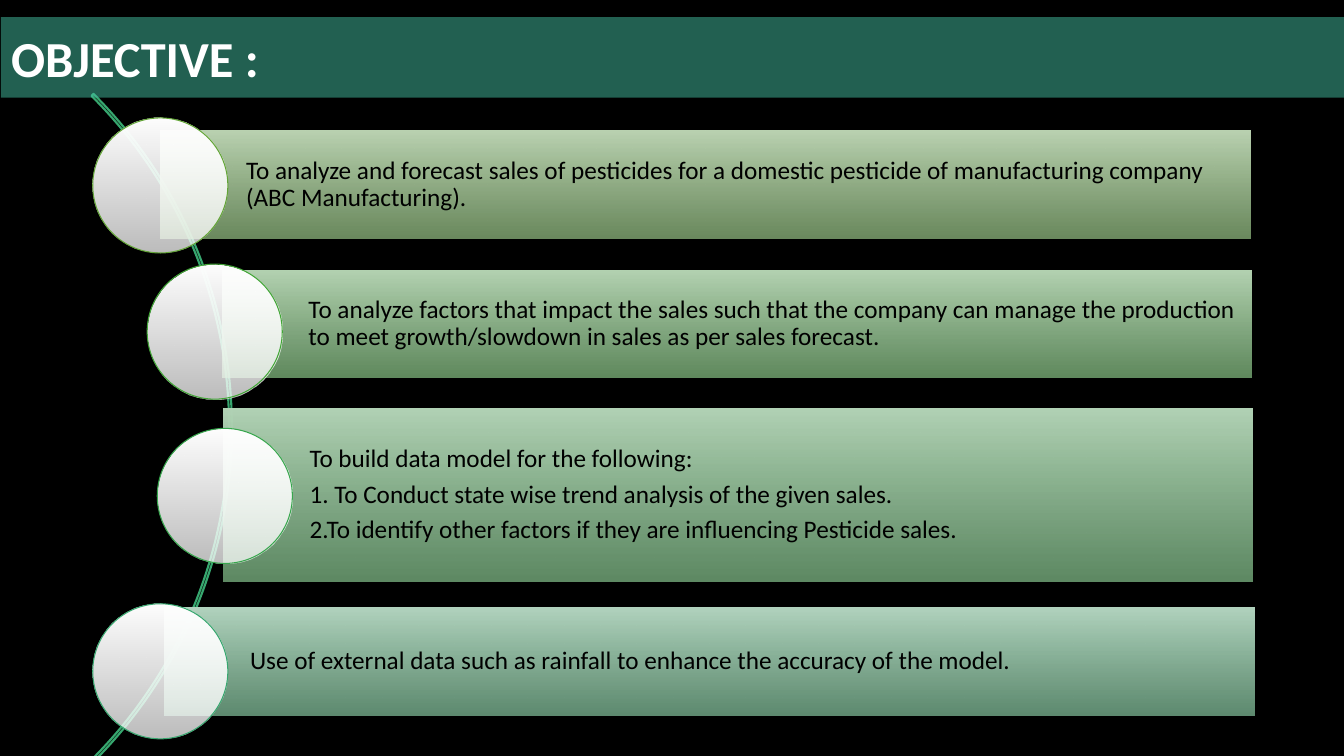
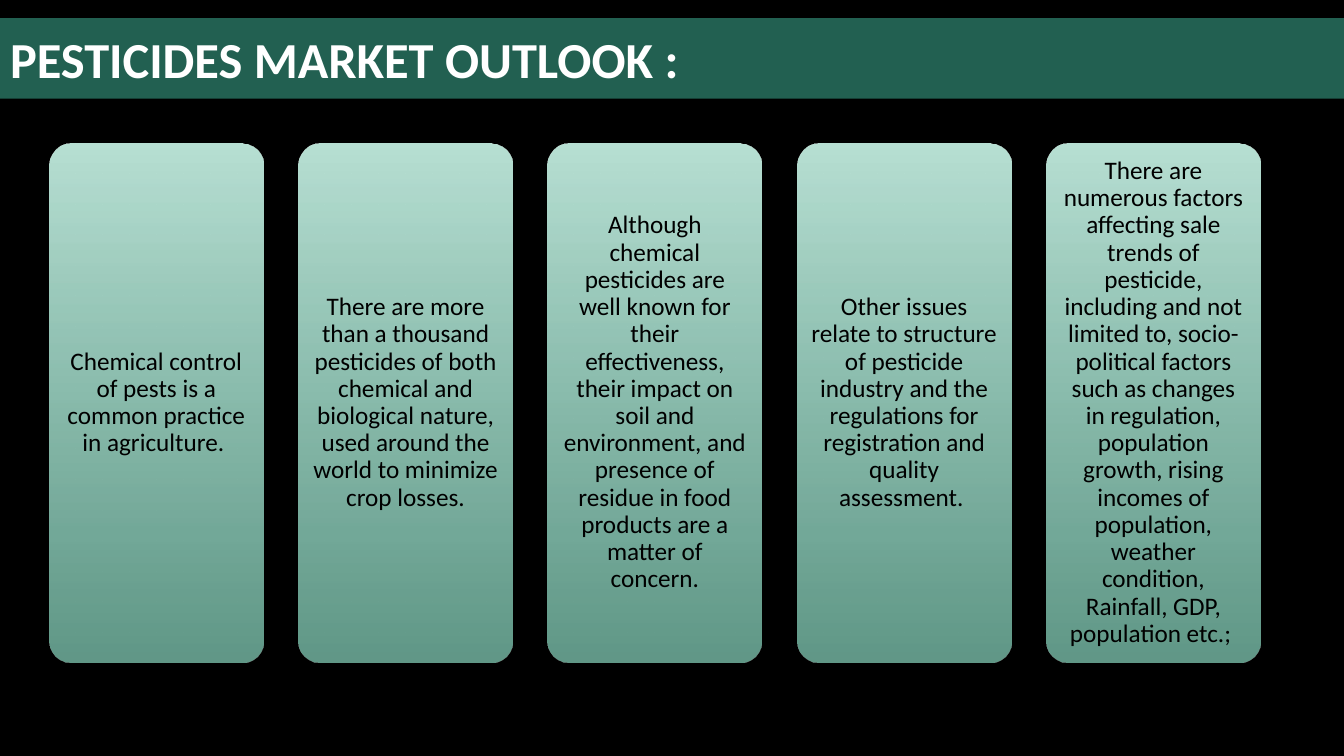
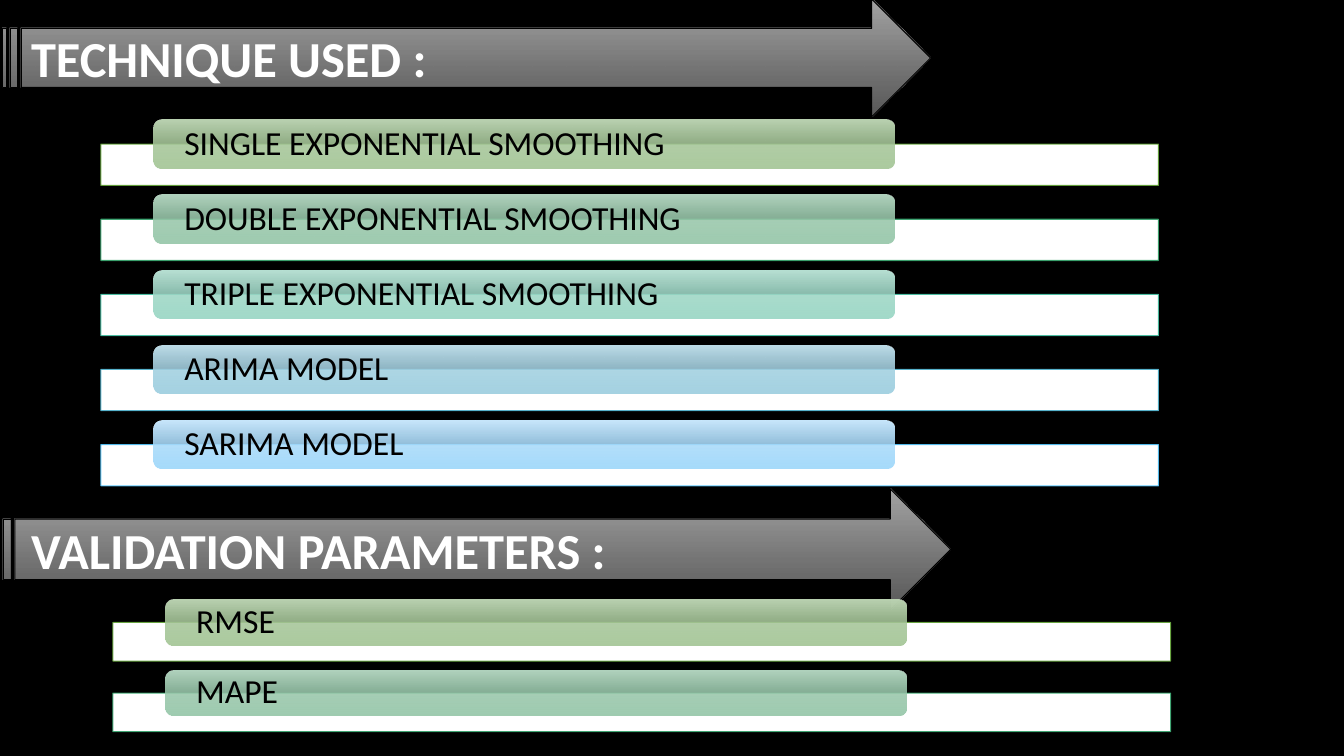
from lxml.etree import SubElement
from pptx import Presentation
from pptx.dml.color import RGBColor
from pptx.enum.shapes import MSO_SHAPE
from pptx.enum.text import MSO_ANCHOR, MSO_AUTO_SIZE, PP_ALIGN
from pptx.oxml.ns import qn
from pptx.util import Inches, Pt

FONT = "Calibri"
BLACK, WHITE, TEAL = "000000", "FFFFFF", "44C1A3"
GREEN, LEAF, EMERALD, SEA = "63A537", "42A637", "37A64D", "37A76F"
BLUE, SKY = "4EB3CF", "51C3F9"
GRADIENTS = {
    GREEN: ("BBD3B2", "91BA80"),
    LEAF: ("B4D3B2", "83BA80"),
    EMERALD: ("B2D3B6", "80BA87"),
    SEA: ("B2D4BF", "80BB97"),
    TEAL: ("B8E1D4", "84CEB8"),
    BLUE: ("BDDDE9", "88C4D9"),
    SKY: ("C9E8FD", "89CFFA"),
    WHITE: (WHITE, WHITE),
    "grey": ("A6A6A6", "797979"),
}

OBJECTIVES = [
    # bar box, circle left and top, accent, paragraphs
    ((1.59, 1.3, 10.81, 1.07), (0.92, 1.17), GREEN,
     ["To analyze and forecast sales of pesticides for a domestic pesticide of "
      "manufacturing company (ABC Manufacturing)."]),
    ((2.21, 2.68, 10.2, 1.07), (1.46, 2.62), LEAF,
     ["To analyze factors that impact the sales such that the company can manage "
      "the production to meet growth/slowdown in sales as per sales forecast."]),
    ((2.22, 4.05, 10.2, 1.72), (1.56, 4.25), EMERALD,
     ["To build data model for the following:",
      "1. To Conduct state wise trend analysis of the given sales.",
      "2.To identify other factors if they are influencing Pesticide sales."]),
    ((1.63, 6.03, 10.81, 1.07), (0.92, 5.99), SEA,
     ["Use of external data such as rainfall to enhance the accuracy of the model."]),
]
OUTLOOK = [
    "Chemical control of pests is a common practice in agriculture. ",
    "There are more than a thousand pesticides of both chemical and biological "
    "nature, used around the world to minimize crop losses.",
    "Although chemical pesticides are well known for their effectiveness, their "
    "impact on soil and environment, and presence of residue in food products are "
    "a matter of concern.",
    "Other issues relate to structure of pesticide industry and the regulations for "
    "registration and quality assessment. ",
    "There are numerous factors affecting sale trends of pesticide, including and "
    "not limited to, socio-political factors such as changes in regulation, "
    "population growth, rising incomes of population, weather condition, Rainfall, "
    "GDP, population etc.; ",
]
TECHNIQUES = [
    ("SINGLE EXPONENTIAL SMOOTHING", GREEN),
    ("DOUBLE EXPONENTIAL SMOOTHING", SEA),
    ("TRIPLE EXPONENTIAL SMOOTHING", TEAL),
    ("ARIMA MODEL", BLUE),
    ("SARIMA MODEL", SKY),
]
MEASURES = [("RMSE", GREEN), ("MAPE", SEA)]


def colour(value):
    return RGBColor.from_string(value)


def fade_last_colour(shape, opacity):
    """Make the colour set last on the shape see-through; opacity is in percent."""
    last = list(shape._element.spPr.iter(qn("a:srgbClr")))[-1]
    SubElement(last, qn("a:alpha")).set("val", str(opacity * 1000))


def fill_solid(shape, value, opacity):
    shape.fill.solid()
    shape.fill.fore_color.rgb = colour(value)
    fade_last_colour(shape, opacity)


def fill_gradient(shape, name):
    """Fill from top to bottom, fading towards the bottom."""
    shape.fill.gradient()
    shape.fill.gradient_angle = 270
    for stop, position, value in zip(shape.fill.gradient_stops, (0, 1), GRADIENTS[name]):
        stop.position = position
        stop.color.rgb = colour(value)
    fade_last_colour(shape, 74)


def add_shape(slide, kind, box, gradient=None, line=None, width=0.75):
    shape = slide.shapes.add_shape(kind, *map(Inches, box))
    shape.shadow.inherit = False
    if gradient:
        fill_gradient(shape, gradient)
    else:
        shape.fill.background()
    if line:
        shape.line.color.rgb = colour(line)
        shape.line.width = Pt(width)
    else:
        shape.line.fill.background()
    return shape


def write_text(shape, texts, size, value=BLACK, bold=False, align=PP_ALIGN.LEFT,
               insets=(0.1, 0.05, 0.1, 0.05), tight=True):
    frame = shape.text_frame
    frame.word_wrap = True
    frame.auto_size = MSO_AUTO_SIZE.NONE
    frame.vertical_anchor = MSO_ANCHOR.MIDDLE
    (frame.margin_left, frame.margin_top,
     frame.margin_right, frame.margin_bottom) = map(Inches, insets)
    for index, text in enumerate(texts):
        paragraph = frame.add_paragraph() if index else frame.paragraphs[0]
        paragraph.alignment = align
        if tight:
            paragraph.line_spacing = 0.9
            paragraph.space_after = Pt(round(size * 0.35))
        run = paragraph.add_run()
        run.text = text
        run.font.name = FONT
        run.font.size = Pt(size)
        run.font.bold = bold
        run.font.color.rgb = colour(value)


def write_heading(shape, text):
    write_text(shape, [text], 36, WHITE, bold=True, tight=False)


def place_title(slide, text, box):
    """Write the title and bring it in front of the shapes added so far."""
    title = slide.shapes.title
    title.left, title.top, title.width, title.height = map(Inches, box)
    write_heading(title, text)
    title._element.getparent().append(title._element)
    return title


def add_title_band(slide, text, box):
    fill_solid(place_title(slide, text, box), TEAL, 50)


def add_objective(slide, bar_box, circle_corner, accent, texts):
    bar = add_shape(slide, MSO_SHAPE.RECTANGLE, bar_box, accent)
    write_text(bar, texts, 18, insets=(0.85, 0.05, 0.05, 0.05))
    add_shape(slide, MSO_SHAPE.OVAL, (*circle_corner, 1.34, 1.34), WHITE, accent)


def add_cards(slide, box, texts, card_width):
    left, top, width, height = box
    pitch = (width - card_width) / (len(texts) - 1)
    for index, text in enumerate(texts):
        card = add_shape(slide, MSO_SHAPE.ROUNDED_RECTANGLE,
                         (left + index * pitch, top, card_width, height), TEAL)
        card.adjustments[0] = 0.1
        write_text(card, [text], 18, align=PP_ALIGN.CENTER, insets=(0.07,) * 4)


def add_label_list(slide, box, labels, row_height):
    """Stack rows of a pale bar with a rounded label over its top edge."""
    left, top, width, height = box
    pitch = (height - row_height) / (len(labels) - 1)
    for index, (text, accent) in enumerate(labels):
        row_top = top + index * pitch
        bar = add_shape(slide, MSO_SHAPE.RECTANGLE,
                        (left, row_top + 0.37 * row_height, width, 0.63 * row_height),
                        line=accent)
        fill_solid(bar, WHITE, 90)
        label = add_shape(slide, MSO_SHAPE.ROUNDED_RECTANGLE,
                          (left + 0.05 * width, row_top, 0.7 * width, 0.74 * row_height),
                          accent)
        write_text(label, [text], 24, insets=(0.28, 0, 0.28, 0))


def add_heading_arrow(slide, box):
    add_shape(slide, MSO_SHAPE.STRIPED_RIGHT_ARROW, box, "grey", BLACK)


def build_objective(slide):
    arc = add_shape(slide, MSO_SHAPE.BLOCK_ARC, (-7.07, -0.44, 9.37, 9.37),
                    line=SEA, width=1.5)
    for index, value in enumerate((189, 27, 0.003)):
        arc.adjustments[index] = value
    for objective in OBJECTIVES:
        add_objective(slide, *objective)
    add_title_band(slide, "OBJECTIVE :", (0.01, 0.17, 13.32, 0.8))


def build_outlook(slide):
    add_cards(slide, (0.49, 1.42, 12.01, 5.15), OUTLOOK, 2.12)
    add_title_band(slide, "PESTICIDES MARKET OUTLOOK :", (0, 0.18, 13.33, 0.8))


def build_techniques(slide):
    add_heading_arrow(slide, (-0.04, 4.85, 9.47, 1.2))
    place_title(slide, "VALIDATION PARAMETERS :", (0.21, 5.1, 6.69, 0.7))
    add_label_list(slide, (1, 1.19, 10.49, 3.63), TECHNIQUES, 0.65)
    add_heading_arrow(slide, (0.03, -0.01, 9.2, 1.17))
    heading = slide.shapes.add_textbox(*map(Inches, (0.21, 0.22, 6.69, 0.7)))
    write_heading(heading, "TECHNIQUE USED :")
    add_label_list(slide, (1.12, 5.95, 10.49, 1.31), MEASURES, 0.61)


def main():
    presentation = Presentation()
    presentation.slide_width = Inches(13.33)
    presentation.slide_height = Inches(7.5)
    background = presentation.slide_master.background.fill
    background.solid()
    background.fore_color.rgb = colour(BLACK)
    title_only = presentation.slide_layouts[5]
    for build in (build_objective, build_outlook, build_techniques):
        build(presentation.slides.add_slide(title_only))
    presentation.save("out.pptx")


if __name__ == "__main__":
    main()
